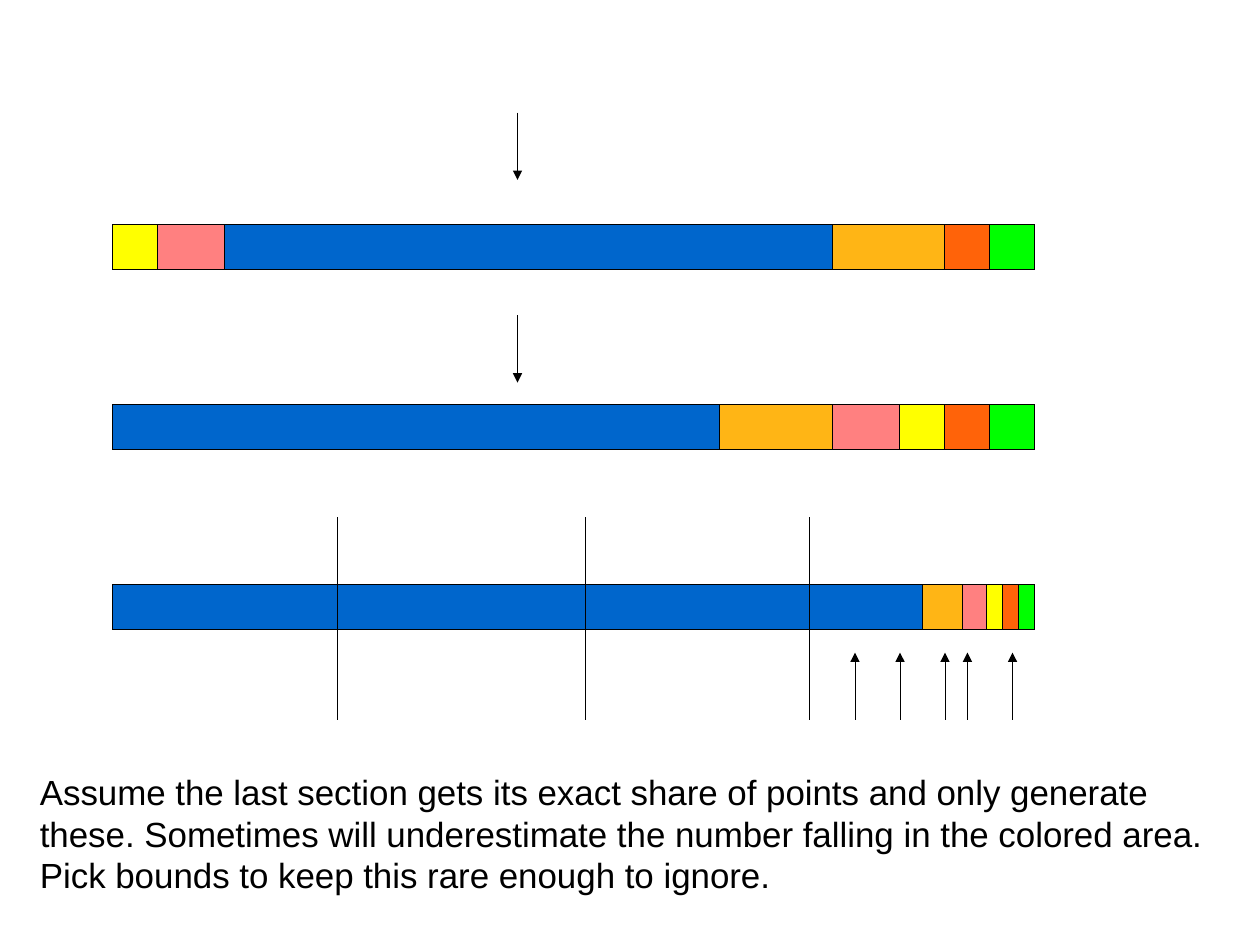
from dataclasses import dataclass

from lxml.etree import SubElement
from pptx import Presentation
from pptx.dml.color import RGBColor
from pptx.enum.shapes import MSO_CONNECTOR as Connector, MSO_SHAPE as Preset
from pptx.enum.text import MSO_ANCHOR as Anchor, PP_ALIGN as Align
from pptx.oxml.ns import qn
from pptx.slide import Slide
from pptx.util import Inches, Length, Pt

COLOURS = {
    "blue": "0066CC",
    "pink": "FF8080",
    "amber": "FFB515",
    "yellow": "FFFF00",
    "orange": "FF6309",
    "green": "00FF00",
    "black": "000000",
}
SHARES = {"blue": 13.5, "pink": 1.5, "amber": 2.5, "yellow": 1, "orange": 1, "green": 1}
SORTED_SECTIONS = ("blue", "amber", "pink", "yellow", "orange", "green")
BAR_LEFT = 2.5
BAR_LENGTH = sum(SHARES.values())
WIDE_BLUE = 18
TAIL_SCALE = (BAR_LENGTH - WIDE_BLUE) / (BAR_LENGTH - SHARES["blue"])
SQUEEZED = {name: share * TAIL_SCALE for name, share in SHARES.items()} | {"blue": WIDE_BLUE}


@dataclass
class Bar:
    top: float
    sections: tuple[str, ...]
    widths: dict[str, float]


@dataclass
class Rule:
    x: float
    start: float
    end: float
    arrow: bool = True


BARS = [
    Bar(5, ("yellow", "pink", "blue", "amber", "orange", "green"), SHARES),
    Bar(9, SORTED_SECTIONS, SHARES),
    Bar(13, SORTED_SECTIONS, SQUEEZED),
]
STEP_ARROWS = [Rule(11.5, top, top + 1.5) for top in (2.5, 7)]
POINT_ARROWS = [Rule(x, 16, 14.5) for x in (19, 20, 21, 21.5, 22.5)]
DIVIDERS = [Rule(x, 11.5, 16, arrow=False) for x in (7.5, 13, 18)]
EXPLANATION = [
    "Assume the last section gets its exact share of points and only generate",
    "these. Sometimes will underestimate the number falling in the colored area.",
    "Pick bounds to keep this rare enough to ignore.",
]


def colour(name: str) -> RGBColor:
    return RGBColor.from_string(COLOURS[name])


def grid(steps: float) -> Length:
    return Inches(steps / 2.54)


def set_hairline(shape):
    shape.line.color.rgb = colour("black")
    outline = shape.element.spPr.find(qn("a:ln"))
    outline.set("w", "0")
    return outline


def draw_bar(slide: Slide, bar: Bar) -> None:
    left = BAR_LEFT
    for name in bar.sections:
        width = bar.widths[name]
        section = slide.shapes.add_shape(
            Preset.RECTANGLE, grid(left), grid(bar.top), grid(width), grid(1)
        )
        section.shadow.inherit = False
        section.fill.solid()
        section.fill.fore_color.rgb = colour(name)
        set_hairline(section)
        left += width


def draw_rule(slide: Slide, rule: Rule) -> None:
    connector = slide.shapes.add_connector(
        Connector.STRAIGHT, grid(rule.x), grid(rule.start), grid(rule.x), grid(rule.end)
    )
    outline = set_hairline(connector)
    if rule.arrow:
        SubElement(outline, qn("a:tailEnd"), type="triangle")
    SubElement(connector.element.spPr, qn("a:effectLst"))


def add_text(
    slide: Slide,
    lines: list[str],
    *,
    left: float,
    top: float,
    width: float,
    height: float,
    size: float,
    font: str = "Arial",
    ink: str = "black",
) -> None:
    box = slide.shapes.add_textbox(Inches(left), Inches(top), Inches(width), Inches(height))
    frame = box.text_frame
    frame.word_wrap = False
    frame.vertical_anchor = Anchor.TOP
    frame.text = "\n".join(lines)
    for paragraph in frame.paragraphs:
        paragraph.alignment = Align.LEFT
        for run in paragraph.runs:
            run.font.name = font
            run.font.size = Pt(size)
            run.font.color.rgb = colour(ink)


def main() -> None:
    presentation = Presentation()
    presentation.slide_width = grid(28)
    presentation.slide_height = grid(21)
    slide = presentation.slides.add_slide(presentation.slide_layouts[6])
    for bar in BARS:
        draw_bar(slide, bar)
    for rule in STEP_ARROWS + POINT_ARROWS + DIVIDERS:
        draw_rule(slide, rule)
    add_text(slide, EXPLANATION, left=0.25, top=6.69, width=10.38, height=1.24, size=22)
    presentation.save("out.pptx")


if __name__ == "__main__":
    main()
